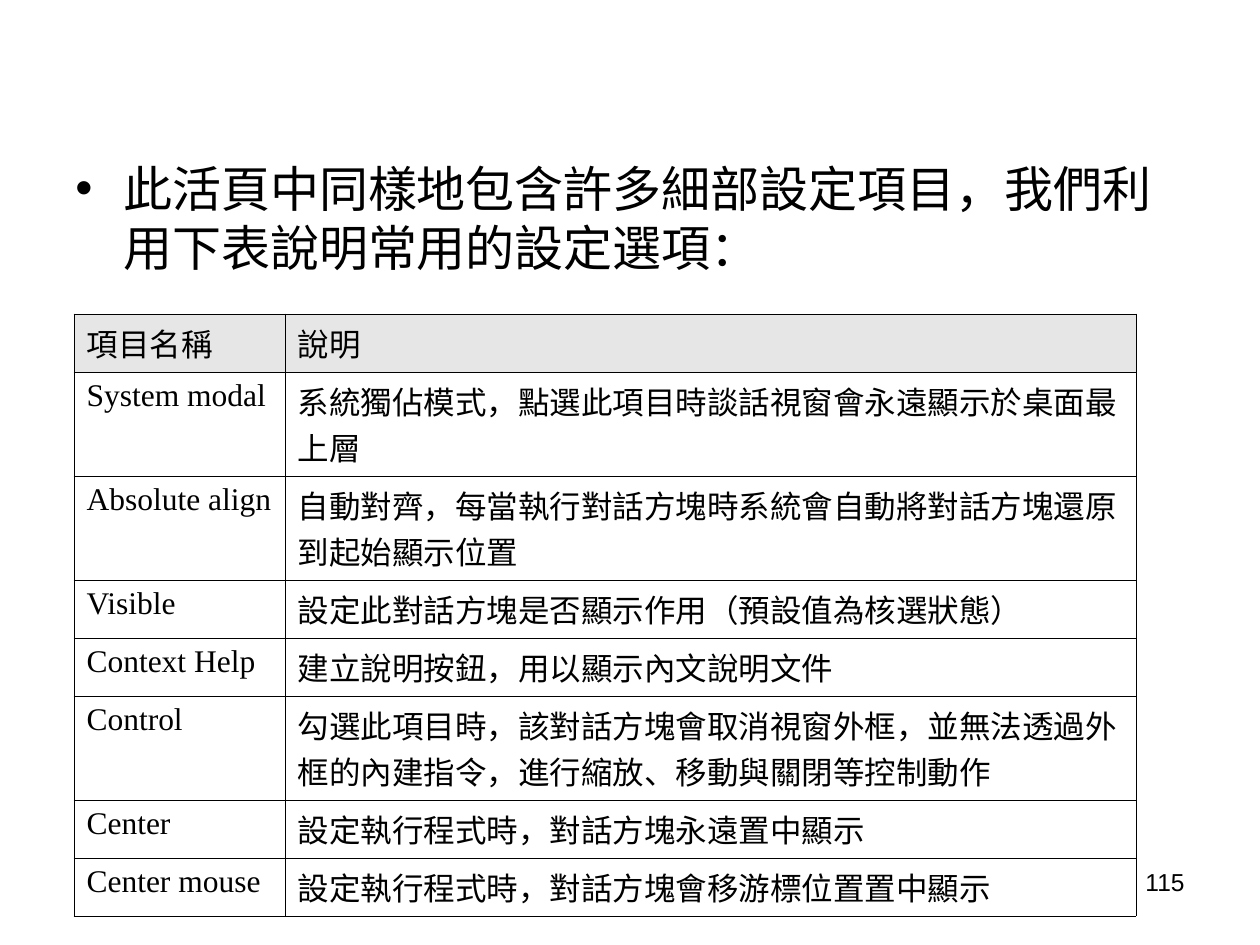
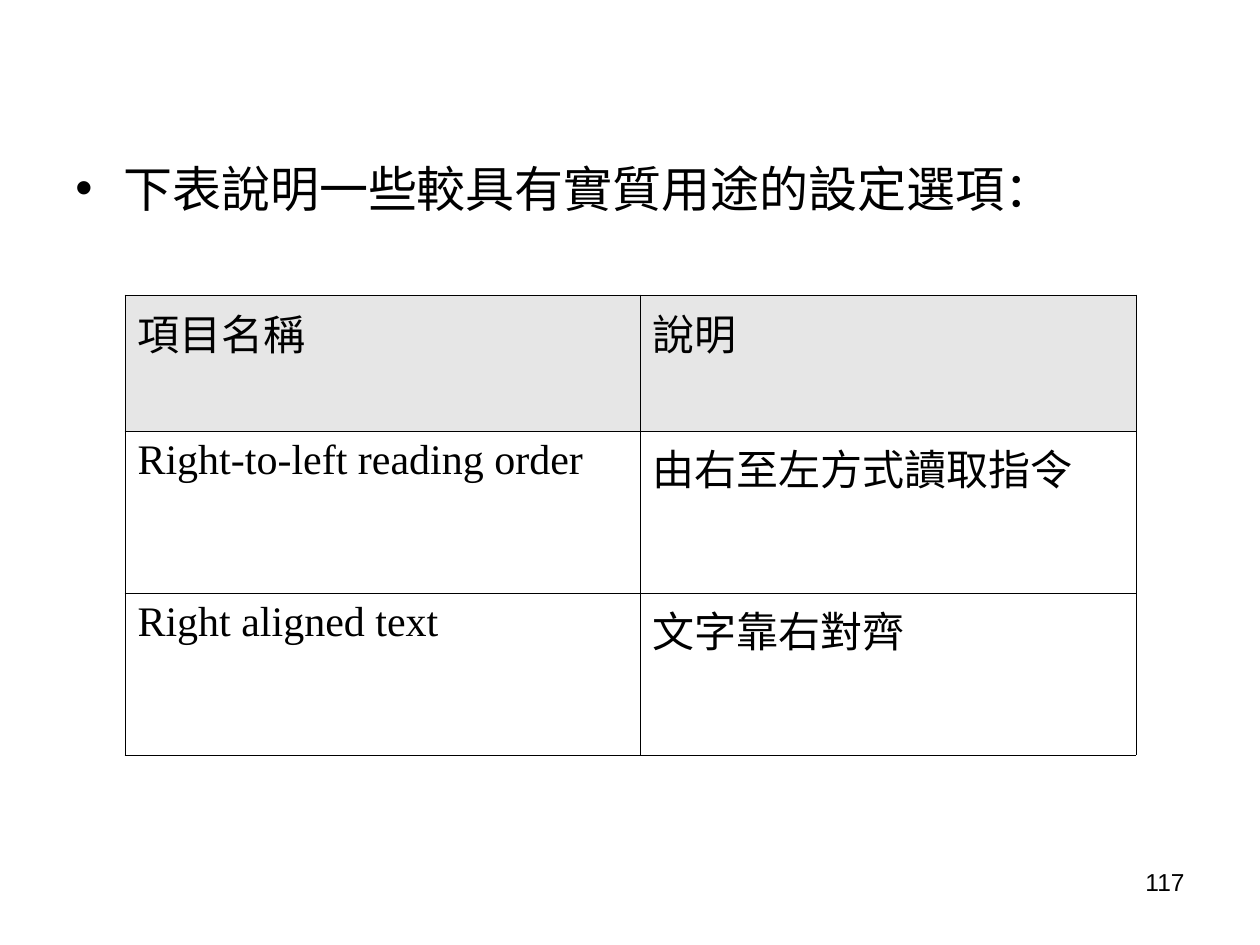
"""Build two slides that explain dialog settings in tables."""
from dataclasses import dataclass

from lxml import etree
from pptx import Presentation, util as u
from pptx.dml.color import RGBColor
from pptx.enum import text as t
from pptx.oxml.ns import qn

PX_PER_INCH = 126
BLACK, HEADER_GREY = "000000", "E6E6E6"
BODY_FONT, TABLE_FONT = "Arial", "Times New Roman"
BORDER_PT = 0.45
HANGING = 48
HEADINGS = ("項目名稱", "說明")


@dataclass(frozen=True)
class Box:
    """Place and size in px."""
    left: int
    top: int
    width: int
    height: int


@dataclass(frozen=True)
class SettingsPage:
    """Intro sentence, table and number of one slide."""
    number: int
    intro: str
    corner: tuple[int, int]
    columns: tuple[int, int]
    heights: tuple[int, ...]
    size: int
    settings: tuple[tuple[str, str], ...]


INTRO_BOX = Box(63, 152, 1112, 693)
NUMBER_BOX = Box(903, 861, 294, 65)
ONE_LINE, TWO_LINES = 58, 104

PAGES = (
    SettingsPage(
        115, "此活頁中同樣地包含許多細部設定項目，我們利用下表說明常用的設定選項：",
        (74, 314), (211, 851),
        (ONE_LINE, TWO_LINES, TWO_LINES, ONE_LINE, ONE_LINE, TWO_LINES, ONE_LINE, ONE_LINE),
        18,
        (
            ("System modal", "系統獨佔模式，點選此項目時談話視窗會永遠顯示於桌面最上層"),
            ("Absolute align", "自動對齊，每當執行對話方塊時系統會自動將對話方塊還原到起始顯示位置"),
            ("Visible", "設定此對話方塊是否顯示作用（預設值為核選狀態）"),
            ("Context Help", "建立說明按鈕，用以顯示內文說明文件"),
            ("Control", "勾選此項目時，該對話方塊會取消視窗外框，並無法透過外框的內建指令，進行縮放、移動與關閉等控制動作"),
            ("Center", "設定執行程式時，對話方塊永遠置中顯示"),
            ("Center mouse", "設定執行程式時，對話方塊會移游標位置置中顯示"),
        )),
    SettingsPage(
        117, "下表說明一些較具有實質用途的設定選項：",
        (125, 295), (515, 496), (136, 162, 162), 24,
        (
            ("Right-to-left reading order", "由右至左方式讀取指令"),
            ("Right aligned text", "文字靠右對齊"),
        )),
)


def px(length: int) -> int:
    """Turn px into EMU."""
    return u.Emu(round(length * 914400 / PX_PER_INCH))


def colour(value: str) -> RGBColor:
    """Turn a hex string into a colour."""
    return RGBColor.from_string(value)


def write(frame, text: str, *, size: int, font: str = BODY_FONT, align=t.PP_ALIGN.LEFT,
          spacing: float | None = None, bullet: str | None = None) -> None:
    """Write one formatted paragraph into a text frame."""
    frame.word_wrap = True
    para = frame.paragraphs[0]
    para.alignment = align
    if spacing:
        para.line_spacing = u.Pt(spacing)
    if bullet:
        properties = para._p.get_or_add_pPr()
        properties.set("marL", str(px(HANGING)))
        properties.set("indent", str(-px(HANGING)))
        etree.SubElement(properties, qn("a:buFont"), typeface=font)
        etree.SubElement(properties, qn("a:buChar"), char=bullet)
    span = para.add_run()
    span.text = text
    span.font.name = font
    span.font.size = u.Pt(size)
    span.font.color.rgb = colour(BLACK)


def add_text(page, box: Box, text: str, **style) -> None:
    """Add a text box with one paragraph."""
    shape = page.shapes.add_textbox(px(box.left), px(box.top), px(box.width), px(box.height))
    write(shape.text_frame, text, **style)


def outline(cell) -> None:
    """Draw a thin border on all four sides of a cell."""
    properties = cell._tc.get_or_add_tcPr()
    for index, side in enumerate(("lnL", "lnR", "lnT", "lnB")):
        line = etree.Element(qn(f"a:{side}"), w=str(u.Pt(BORDER_PT)))
        fill = etree.SubElement(line, qn("a:solidFill"))
        etree.SubElement(fill, qn("a:srgbClr"), val=BLACK)
        properties.insert(index, line)


def add_settings_table(page, content: SettingsPage) -> None:
    """Add the table with a grey heading row."""
    rows = (HEADINGS, *content.settings)
    left, top = content.corner
    table = page.shapes.add_table(
        len(rows), len(HEADINGS), px(left), px(top),
        px(sum(content.columns)), px(sum(content.heights))).table
    table.first_row = table.horz_banding = False
    for column, width in zip(table.columns, content.columns):
        column.width = px(width)
    for row, height in zip(table.rows, content.heights):
        row.height = px(height)
    for row_index, texts in enumerate(rows):
        for column_index, text in enumerate(texts):
            cell = table.cell(row_index, column_index)
            write(cell.text_frame, text, size=content.size, font=TABLE_FONT)
            if row_index == 0:
                cell.fill.solid()
                cell.fill.fore_color.rgb = colour(HEADER_GREY)
            else:
                cell.fill.background()
            outline(cell)


def add_page(deck, content: SettingsPage) -> None:
    """Add one slide with intro, table and number."""
    page = deck.slides.add_slide(deck.slide_layouts[6])
    add_text(page, INTRO_BOX, content.intro, size=28, spacing=33.7, bullet="•")
    add_settings_table(page, content)
    add_text(page, NUMBER_BOX, str(content.number), size=14, align=t.PP_ALIGN.RIGHT)


def main() -> None:
    """Build and save the deck."""
    deck = Presentation()
    deck.slide_width, deck.slide_height = px(1260), px(945)
    for content in PAGES:
        add_page(deck, content)
    deck.save("out.pptx")


if __name__ == "__main__":
    main()
